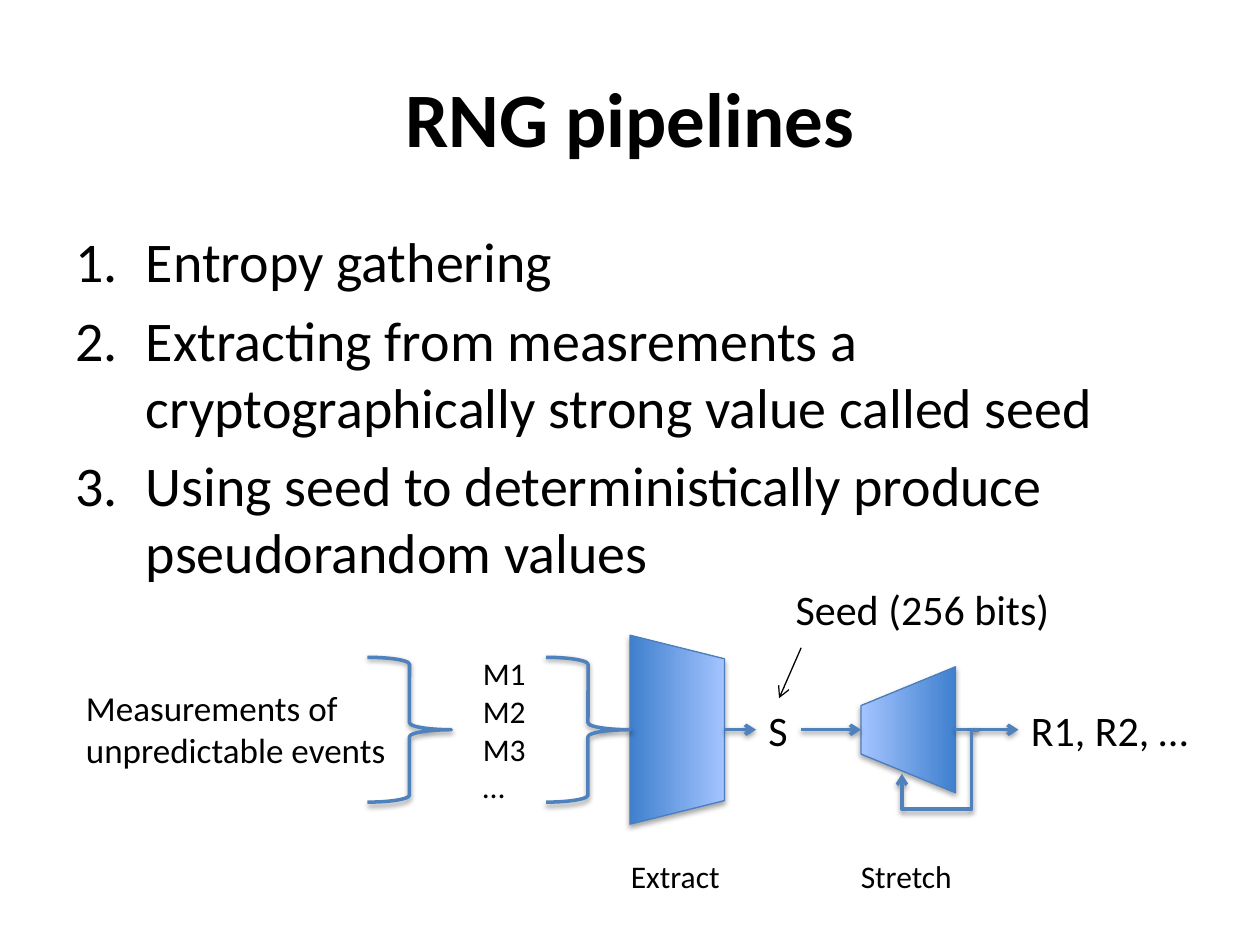
from dataclasses import dataclass
from typing import Any

from lxml.etree import SubElement
from pptx import Presentation
from pptx.dml.color import RGBColor as Rgb
from pptx.enum.shapes import MSO_CONNECTOR as Link, MSO_SHAPE as Preset
from pptx.enum.text import MSO_ANCHOR as Anchor, PP_ALIGN as Align
from pptx.oxml.ns import qn
from pptx.util import Inches, Pt


@dataclass(frozen=True)
class Theme:
    font: str = "Calibri"
    ink: str = "000000"
    flow: str = "4F81BD"
    edge: str = "4B7EBC"
    dark: str = "3F80CE"
    light: str = "A4C4FF"
    title: int = 44
    body: int = 32
    label: int = 24
    source: int = 20
    small: int = 18
    thick: float = 2
    thin: float = 0.75


@dataclass
class Board:
    slide: Any
    theme: Theme
    cell: float = 1 / 12

    def units(self, *cells):
        return [Inches(count * self.cell) for count in cells]

    def text(self, lines, box, size, wrap=False, bold=False, align=Align.LEFT,
             anchor=Anchor.TOP, numbered=False):
        frame = self.slide.shapes.add_textbox(*self.units(*box)).text_frame
        frame.word_wrap = wrap
        frame.vertical_anchor = anchor
        for index, line in enumerate(lines):
            paragraph = frame.paragraphs[0] if index == 0 else frame.add_paragraph()
            paragraph.alignment = align
            run = paragraph.add_run()
            run.text = line
            run.font.name = self.theme.font
            run.font.size = Pt(size)
            run.font.bold = bold
            run.font.color.rgb = Rgb.from_string(self.theme.ink)
            if numbered:
                self.number(paragraph, size)

    def number(self, paragraph, size):
        paragraph.space_before = Pt(size * 0.2)
        indent = Inches(0.56)
        properties = paragraph._p.get_or_add_pPr()
        properties.set("marL", str(indent))
        properties.set("indent", str(-indent))
        SubElement(properties, qn("a:buFont"), typeface="+mj-lt")
        SubElement(properties, qn("a:buAutoNum"), type="arabicPeriod")

    def stroke(self, line, color, width):
        line.color.rgb = Rgb.from_string(color)
        line.width = Pt(width)

    def shadow(self, effects, alpha, distance):
        drop = SubElement(effects, qn("a:outerShdw"), blurRad=str(Pt(3.1)),
                          dist=str(Pt(distance)), dir="5400000", rotWithShape="0")
        color = SubElement(drop, qn("a:srgbClr"), val=self.theme.ink)
        SubElement(color, qn("a:alpha"), val=str(alpha * 1000))

    def preset(self, kind, box, alpha, distance):
        shape = self.slide.shapes.add_shape(kind, *self.units(*box))
        shape.shadow.inherit = False
        self.shadow(shape.element.spPr.find(qn("a:effectLst")), alpha, distance)
        return shape

    def stage(self, left, axis, height, rotation, slant):
        width = 9
        box = (left + (width - height) / 2, axis - width / 2, height, width)
        shape = self.preset(Preset.TRAPEZOID, box, 35, 1.8)
        shape.rotation = rotation
        shape.adjustments[0] = slant
        shape.fill.gradient()
        shape.fill.gradient_angle = 90
        for stop, color in zip(shape.fill.gradient_stops, (self.theme.dark, self.theme.light)):
            stop.color.rgb = Rgb.from_string(color)
        self.stroke(shape.line, self.theme.edge, self.theme.thin)

    def brace(self, left, axis):
        height = 13.8
        shape = self.preset(Preset.RIGHT_BRACE, (left, axis - height / 2, 8, height), 38, 1.6)
        shape.fill.background()
        self.stroke(shape.line, self.theme.flow, self.theme.thick)

    def arrow(self, start, end, pointer=False, bends=()):
        kind = Link.ELBOW if bends else Link.STRAIGHT
        link = self.slide.shapes.add_connector(kind, *self.units(*start, *end))
        color, width = ((self.theme.ink, self.theme.thin) if pointer
                        else (self.theme.flow, self.theme.thick))
        self.stroke(link.line, color, width)
        properties = link.element.spPr
        SubElement(properties.find(qn("a:ln")), qn("a:tailEnd"), type="arrow")
        effects = SubElement(properties, qn("a:effectLst"))
        if not pointer:
            self.shadow(effects, 38, 1.6)
        if bends:
            geometry = properties.find(qn("a:prstGeom"))
            geometry.set("prst", "bentConnector4")
            guides = geometry.find(qn("a:avLst"))
            for index, share in enumerate(bends, 1):
                SubElement(guides, qn("a:gd"), name=f"adj{index}",
                           fmla=f"val {round(share * 100000)}")


def main():
    deck = Presentation()
    deck.slide_width, deck.slide_height = Inches(10), Inches(7.5)
    theme = Theme()
    board = Board(deck.slides.add_slide(deck.slide_layouts[6]), theme)
    axis = 69.5

    board.text(["RNG pipelines"], (6, 3.6, 108, 15), theme.title, wrap=True, bold=True,
               align=Align.CENTER, anchor=Anchor.MIDDLE)
    board.text(["Entropy gathering",
                "Extracting from measrements a cryptographically strong value called seed",
                "Using seed to deterministically produce pseudorandom values"],
               (6, 21, 108, 59.4), theme.body, wrap=True, numbered=True)

    board.stage(60, axis, 18, 90, 0.25)
    board.stage(82, axis, 12, 270, 0.41)
    for brace_left in (35, 52):
        board.brace(brace_left, axis)

    labels = [
        (["Extract"], (58.9, 81, 11, 4.8), theme.small),
        (["Stretch"], (80.8, 81, 11.3, 4.8), theme.small),
        (["Measurements of", "unpredictable events"], (7, 64.8, 31.3, 9.3), theme.source),
        (["M1", "M2", "M3", "…"], (44.8, 61.7, 6.6, 15.7), theme.small),
        (["S"], (72, 66.5, 4.3, 6), theme.label),
        (["R1, R2, …"], (97, 66.5, 17.8, 6), theme.label),
        (["Seed (256 bits)"], (74.6, 55, 26.8, 6), theme.label),
    ]
    for lines, box, size in labels:
        board.text(lines, box, size)

    for start, end in ((69, 72), (76.3, 82), (91, 97)):
        board.arrow((start, axis), (end, axis))
    board.arrow((76.3, 61.7), (74.2, 66.5), pointer=True)
    board.arrow((93.2, axis), (85.9, 73.7), bends=(0.09, 1.8))

    deck.save("out.pptx")


if __name__ == "__main__":
    main()
